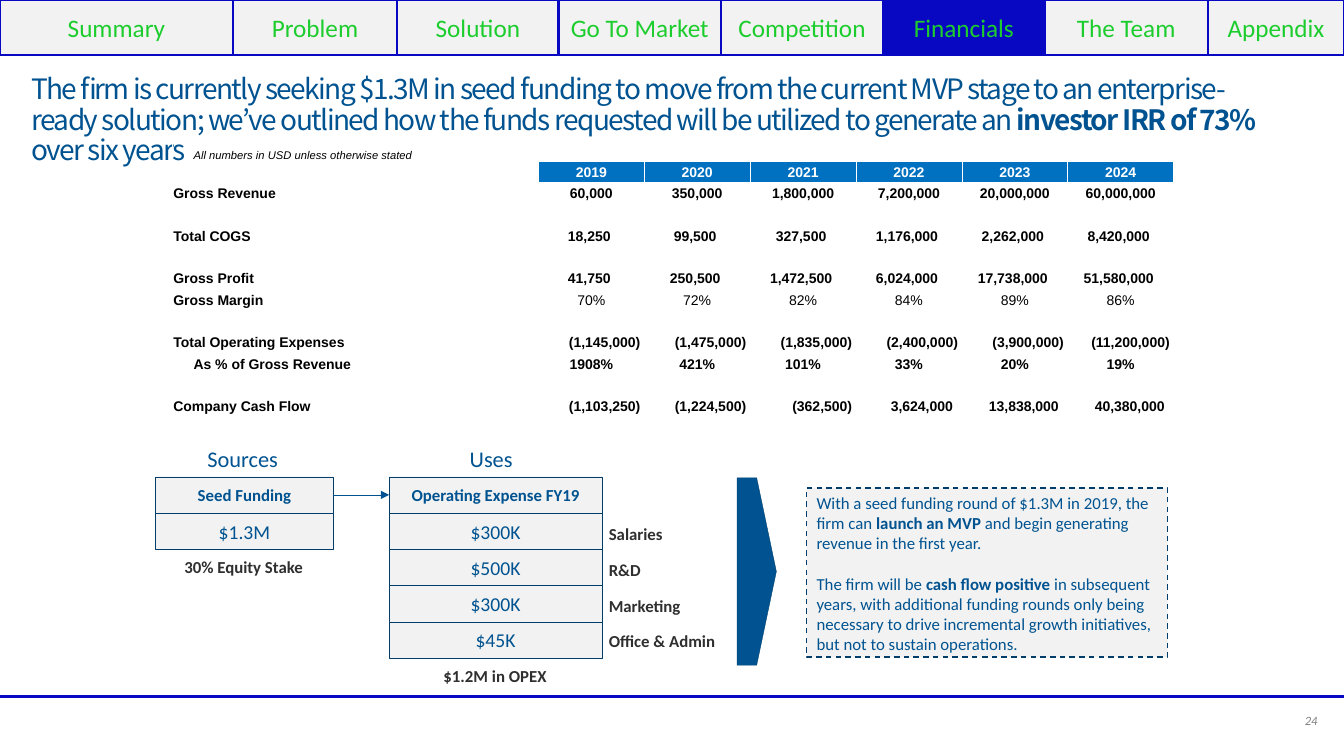
import dataclasses
import itertools

import pptx
import pptx.dml.color
import pptx.enum.dml
import pptx.enum.shapes
import pptx.enum.text
import pptx.oxml.ns
import pptx.util
from lxml import etree

SCALE = 9144  # EMU in one px, 100 px to the inch
ALIGN = pptx.enum.text.PP_ALIGN
ANCHOR = pptx.enum.text.MSO_ANCHOR
SHAPE = pptx.enum.shapes.MSO_SHAPE


@dataclasses.dataclass(frozen=True)
class Theme:
    # Colours
    blue: str = "005390"
    edge: str = "003D6B"
    navy: str = "0808C2"
    green: str = "1DCD2E"
    pale: str = "F2F2F2"
    head: str = "0070C0"
    dark: str = "2F2F2F"
    grey: str = "808080"
    black: str = "000000"
    white: str = "FFFFFF"
    # Type sizes
    title: int = 20
    nav: int = 18
    label: int = 16
    money: int = 14
    body: int = 12
    table: int = 10
    page: int = 9
    note: int = 8
    # Fonts
    main: str = "Calibri"
    data: str = "Arial"
    top: str = "Noto Sans CJK JP"


T = Theme()

TABS = ["Summary", "Problem", "Solution", "Go To Market", "Competition",
        "Financials", "The Team", "Appendix"]
EDGES = [0, 231, 394, 554, 715, 876, 1036, 1198, 1333]
TITLE = [
    ("The firm is currently seeking $1.3M in seed funding to move from the "
     "current MVP stage to an enterprise-ready solution; we’ve outlined how "
     "the funds requested will be utilized to generate an ", False),
    ("investor IRR of 73% ", True), ("over six years", False)]
NOTES = [
    [("With a seed funding round of $1.3M in 2019, the firm can ", False),
     ("launch an MVP ", True),
     ("and begin generating revenue in the first year.", False)],
    [("The firm will be ", False), ("cash flow positive", True),
     (" in subsequent years, with additional funding rounds only being "
      "necessary to drive incremental growth initiatives, but not to "
      "sustain operations.", False)]]
# Table row number: label, values
ROWS = {
    2: ("Gross Revenue", "60,000 350,000 1,800,000 7,200,000 20,000,000 60,000,000"),
    4: ("Total COGS", "18,250 99,500 327,500 1,176,000 2,262,000 8,420,000"),
    6: ("Gross Profit", "41,750 250,500 1,472,500 6,024,000 17,738,000 51,580,000"),
    7: ("Gross Margin", "70% 72% 82% 84% 89% 86%"),
    9: ("Total Operating Expenses",
        "(1,145,000) (1,475,000) (1,835,000) (2,400,000) (3,900,000) (11,200,000)"),
    10: ("As % of Gross Revenue", "1908% 421% 101% 33% 20% 19%"),
    12: ("Company Cash Flow",
         "(1,103,250) (1,224,500) (362,500) 3,624,000 13,838,000 40,380,000")}
COUNT, MARGIN, SHARE = 13, 7, 10
SHIFTED, RIGHT = (4, 6), (9, 12)
SALES = ["Salaries", "R&D", "Marketing", "Office & Admin"]
COSTS = ["$300K", "$500K", "$300K", "$45K"]


def px(num):
    return pptx.util.Emu(num * SCALE)


def rgb(code):
    return pptx.dml.color.RGBColor.from_string(code)


def style(para, size, color, bold=False, italic=False, face=T.main, align=ALIGN.LEFT):
    para.alignment = align
    font = para.font
    font.name, font.size = face, pptx.util.Pt(size)
    font.bold, font.italic = bold, italic
    font.color.rgb = rgb(color)


def runs(para, parts):
    for words, bold in parts:
        run = para.add_run()
        run.text = words
        run.font.bold = bold


def label(slide, words, left, top, width, size=T.body, color=T.dark, bold=True):
    box = slide.shapes.add_textbox(px(left), px(top), px(width), px(30))
    frame = box.text_frame
    frame.word_wrap = True
    frame.text = words
    style(frame.paragraphs[0], size, color, bold)
    return box


def block(slide, area, fill, edge, weight, kind=SHAPE.RECTANGLE):
    shape = slide.shapes.add_shape(kind, *map(px, area))
    shape.shadow.inherit = False
    shape.fill.solid()
    shape.fill.fore_color.rgb = rgb(fill)
    shape.line.color.rgb = rgb(edge)
    shape.line.width = pptx.util.Pt(weight)
    return shape


def write(shape, words, size, color, bold=False):
    frame = shape.text_frame
    frame.text = words
    frame.vertical_anchor = ANCHOR.MIDDLE
    style(frame.paragraphs[0], size, color, bold, align=ALIGN.CENTER)


def rule(slide, start, end, color, weight, arrow=False):
    line = slide.shapes.add_connector(
        pptx.enum.shapes.MSO_CONNECTOR.STRAIGHT, *map(px, start + end))
    line.line.color.rgb = rgb(color)
    line.line.width = pptx.util.Pt(weight)
    if arrow:
        tip = etree.SubElement(line.line._get_or_add_ln(), pptx.oxml.ns.qn("a:tailEnd"))
        tip.set("type", "triangle")
    etree.SubElement(line._element.spPr, pptx.oxml.ns.qn("a:effectLst"))


def stack(slide, left, width, head, sums):
    for row, words in enumerate([head] + sums):
        box = block(slide, (left, 473 + 36 * row, width, 36), T.pale, T.edge, 0.25)
        write(box, words, T.money if row else T.body, T.blue, bold=not row)


def border(cell):
    props = cell._tc.get_or_add_tcPr()
    for spot, side in enumerate(("a:lnL", "a:lnR", "a:lnT", "a:lnB")):
        line = etree.Element(pptx.oxml.ns.qn(side), w="6350")
        fill = etree.SubElement(line, pptx.oxml.ns.qn("a:solidFill"))
        etree.SubElement(fill, pptx.oxml.ns.qn("a:srgbClr"), val=T.white)
        props.insert(spot, line)


def entry(cell, words, color=T.black, bold=True, align=ALIGN.LEFT):
    cell.text = words
    style(cell.text_frame.paragraphs[0], T.table, color, bold, face=T.data, align=align)


def grid(slide):
    table = slide.shapes.add_table(COUNT, 8, px(171), px(139), px(993), px(275)).table
    table.first_row = table.horz_banding = False
    for col, width in zip(table.columns, [20, 343] + [105] * 6):
        col.width = px(width)
    # Plain cells with slim margins
    for row, col in itertools.product(range(COUNT), range(8)):
        cell = table.cell(row, col)
        cell.fill.background()
        cell.vertical_anchor = ANCHOR.MIDDLE
        cell.margin_left = cell.margin_right = cell.margin_top = px(1)
        cell.margin_bottom = 0
        para = cell.text_frame.paragraphs[0]
        para.font.size = pptx.util.Pt(T.table)
        para._p.get_or_add_endParaRPr().set("sz", str(T.table * 100))
    # Note and years
    note = table.cell(0, 1)
    note.text = "All numbers in USD unless otherwise stated"
    note.vertical_anchor = ANCHOR.BOTTOM
    style(note.text_frame.paragraphs[0], T.note, T.black, italic=True, face=T.data)
    for col in range(2, 8):
        cell = table.cell(1, col)
        entry(cell, str(2017 + col), T.white, align=ALIGN.CENTER)
        cell.fill.solid()
        cell.fill.fore_color.rgb = rgb(T.head)
        border(cell)
    # Figures
    for row, (name, nums) in ROWS.items():
        if row != SHARE:
            table.cell(row, 0).merge(table.cell(row, 1))
        entry(table.cell(row, int(row == SHARE)), name)
        for col, num in enumerate(nums.split(), 2):
            cell = table.cell(row, col)
            side = ALIGN.RIGHT if row in RIGHT else ALIGN.CENTER
            entry(cell, num, bold=row != MARGIN, align=side)
            if row in RIGHT:
                cell.margin_right = px(4 if num.endswith(")") else 9)
            elif row in SHIFTED:
                cell.margin_right = px(5)


def heading(slide):
    title = slide.shapes.title
    title.left, title.top, title.width, title.height = map(px, (21, 70, 1240, 63))
    frame = title.text_frame
    frame.word_wrap = True
    frame.auto_size = pptx.enum.text.MSO_AUTO_SIZE.NONE
    frame.vertical_anchor = ANCHOR.TOP
    para = frame.paragraphs[0]
    runs(para, TITLE)
    para.line_spacing = 0.9
    style(para, T.title, T.blue, face=T.top)
    for run in para.runs:
        run._r.get_or_add_rPr().set("spc", "-110")


def story(slide):
    box = block(slide, (800, 484, 358, 168), T.pale, T.edge, 1)
    box.line.dash_style = pptx.enum.dml.MSO_LINE.DASH
    frame = box.text_frame
    frame.vertical_anchor = ANCHOR.TOP
    for spot, parts in enumerate(NOTES):
        para = frame.add_paragraph() if spot else frame.paragraphs[0]
        runs(para, parts)
        style(para, T.body, T.blue)
        if spot:
            para.space_before = pptx.util.Pt(14.5)


def main():
    deck = pptx.Presentation()
    deck.slide_width, deck.slide_height = px(1333), px(750)
    slide = deck.slides.add_slide(deck.slide_layouts[5])
    grid(slide)
    heading(slide)
    # Tabs
    for name, (left, right) in zip(TABS, itertools.pairwise(EDGES)):
        fill = T.navy if name == "Financials" else T.pale
        tab = block(slide, (left, 0, right - left, 55), fill, T.navy, 1.5)
        write(tab, name, T.nav, T.green)
    # Sources and uses
    label(slide, "Sources", 196, 437, 94, T.label, T.blue, False)
    label(slide, "Uses", 456, 437, 71, T.label, T.blue, False)
    stack(slide, 154, 177, "Seed Funding", ["$1.3M"])
    stack(slide, 386, 211, "Operating Expense FY19", COSTS)
    rule(slide, (330, 491), (386, 491), T.blue, 0.5, arrow=True)
    label(slide, "30% Equity Stake", 173, 547, 139)
    label(slide, "$1.2M in OPEX", 430, 656, 124)
    for spot, name in enumerate(SALES):
        label(slide, name, 594, 515 + 71 * spot // 2, 137)
    # Outcome
    block(slide, (731, 474, 39, 186), T.blue, T.edge, 0.25, SHAPE.PENTAGON)
    story(slide)
    # Footer
    rule(slide, (0, 691), (1333, 691), T.navy, 1.5)
    page = label(slide, "24", 1280, 700, 41, T.page, T.grey, False)
    frame = page.text_frame
    frame.margin_left = frame.margin_right = frame.margin_top = frame.margin_bottom = 0
    frame.vertical_anchor = ANCHOR.MIDDLE
    style(frame.paragraphs[0], T.page, T.grey, italic=True, align=ALIGN.CENTER)
    deck.save("out.pptx")


if __name__ == "__main__":
    main()
